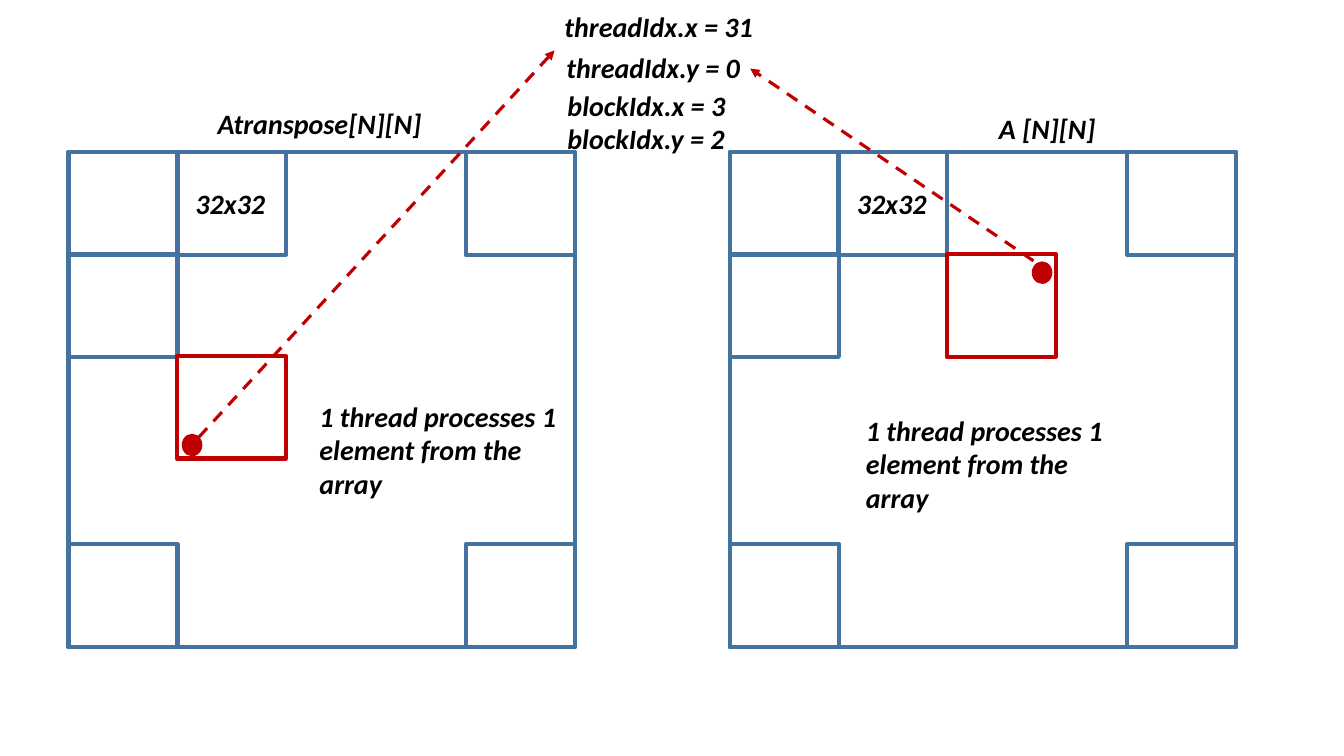
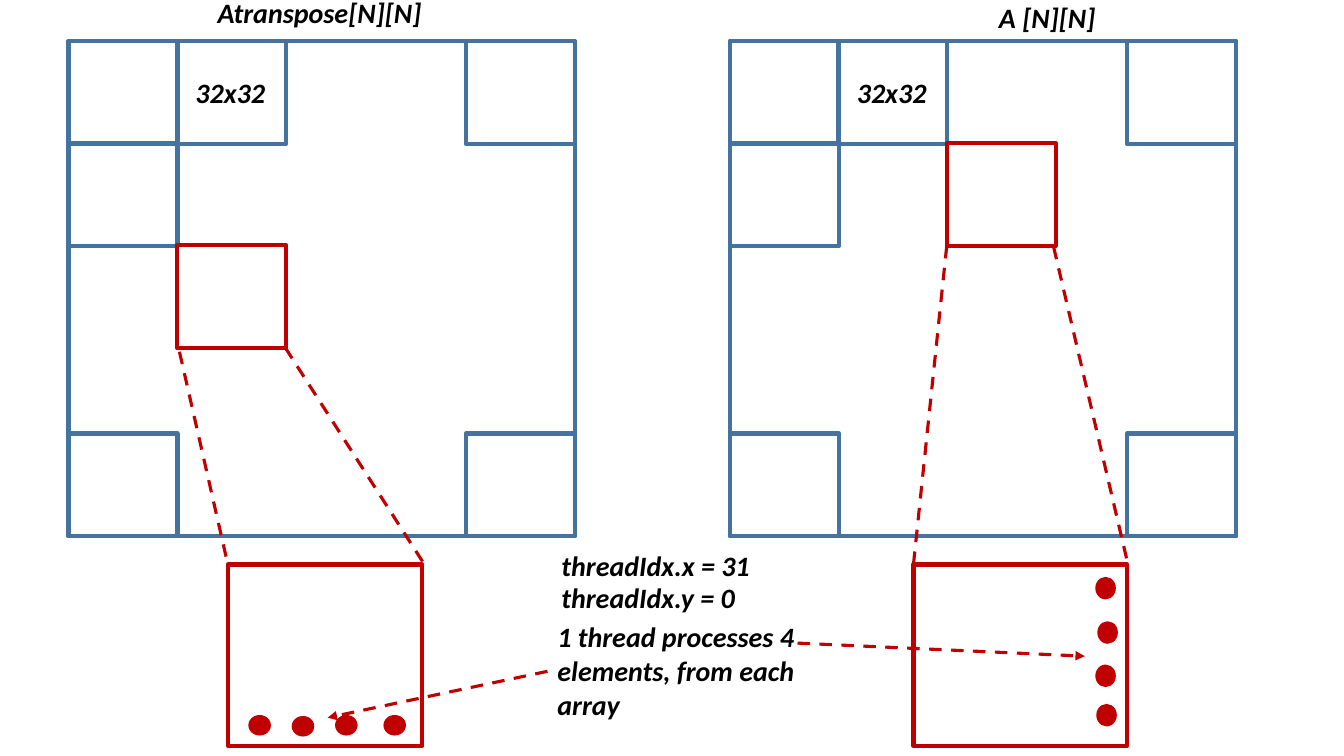
from lxml import etree
from pptx import Presentation
from pptx.dml.color import RGBColor
from pptx.enum.dml import MSO_LINE
from pptx.enum.shapes import MSO_CONNECTOR, MSO_SHAPE
from pptx.enum.text import MSO_AUTO_SIZE
from pptx.oxml.ns import qn
from pptx.util import Inches, Pt

RECTANGLE, OVAL = MSO_SHAPE.RECTANGLE, MSO_SHAPE.OVAL
STRAIGHT, DASH = MSO_CONNECTOR.STRAIGHT, MSO_LINE.DASH
FIT_SHAPE = MSO_AUTO_SIZE.SHAPE_TO_FIT_TEXT

COLORS = {"grid": "43739E", "accent": "C00000", "text": "000000"}
FONT, TEXT_SIZE = "Calibri", 20
LINE_HEIGHT, NOTE_HEIGHT, NOTE_WIDTH = 0.44, 1.11, 2.71

# Shared geometry of the two arrays, in inches
MATRIX_WIDTH, MATRIX_HEIGHT = 5.02, 4.91
TILE_WIDTH, TILE_HEIGHT = 1.08, 1.02
COLUMN_STEP, ROW_STEP = 1.075, 1.01
TRANSPOSE_LEFT, SOURCE_LEFT = 0.68, 7.24
DOT_WIDTH, DOT_HEIGHT = 0.19, 0.21


def color(name):
    return RGBColor.from_string(COLORS[name])


def add_frame(page, left, top, width, height, line="grid"):
    frame = page.shapes.add_shape(
        RECTANGLE, Inches(left), Inches(top), Inches(width), Inches(height))
    frame.shadow.inherit = False
    frame.fill.background()
    frame.line.color.rgb = color(line)
    frame.line.width = Pt(3)


def add_dot(page, left, top, width=DOT_WIDTH, height=DOT_HEIGHT):
    dot = page.shapes.add_shape(
        OVAL, Inches(left), Inches(top), Inches(width), Inches(height))
    dot.shadow.inherit = False
    dot.fill.solid()
    dot.fill.fore_color.rgb = color("accent")
    dot.line.color.rgb = color("accent")
    dot.line.width = Pt(1)


def add_label(page, text, left, top, width, height=LINE_HEIGHT, wrap=False):
    box = page.shapes.add_textbox(
        Inches(left), Inches(top), Inches(width), Inches(height))
    frame = box.text_frame
    frame.text = text
    frame.word_wrap = wrap
    frame.auto_size = FIT_SHAPE
    font = frame.paragraphs[0].runs[0].font
    font.name, font.size = FONT, Pt(TEXT_SIZE)
    font.bold = font.italic = True
    font.color.rgb = color("text")


def add_note(page, text, left, top):
    add_label(page, text, left, top, NOTE_WIDTH, NOTE_HEIGHT, wrap=True)


def add_dashed_line(page, start, end, arrow=False):
    line = page.shapes.add_connector(
        STRAIGHT, *(Inches(value) for value in (*start, *end)))
    line.line.color.rgb = color("accent")
    line.line.width = Pt(2.25)
    line.line.dash_style = DASH
    if arrow:
        tail = etree.SubElement(line.line._get_or_add_ln(), qn("a:tailEnd"))
        tail.set("type", "triangle")
    etree.SubElement(line._element.spPr, qn("a:effectLst"))


def add_matrix(page, left, top, marked_column, marked_row):
    """Draw an array with its visible tiles and one marked tile."""
    add_frame(page, left, top, MATRIX_WIDTH, MATRIX_HEIGHT)
    right = MATRIX_WIDTH - TILE_WIDTH
    bottom = MATRIX_HEIGHT - TILE_HEIGHT
    tiles = [(0, 0), (0, bottom), (right, 0), (right, bottom),
             (COLUMN_STEP, 0), (0, ROW_STEP)]
    for across, down in tiles:
        add_frame(page, left + across, top + down, TILE_WIDTH, TILE_HEIGHT)
    add_frame(page, left + marked_column * COLUMN_STEP,
              top + marked_row * ROW_STEP, TILE_WIDTH, TILE_HEIGHT, "accent")
    add_label(page, "32x32", left + 1.16, top + 0.29, 0.9)


def add_matrix_pair(page, top):
    add_matrix(page, SOURCE_LEFT, top, 2, 1)
    add_matrix(page, TRANSPOSE_LEFT, top, 1, 2)
    add_label(page, "Atranspose[N][N]", TRANSPOSE_LEFT + 1.38, top - 0.5, 2.24)
    add_label(page, "A [N][N]", SOURCE_LEFT + 2.57, top - 0.45, 1.17)


def build_single_element(page):
    add_matrix_pair(page, 1.51)

    # Thread and block indices
    for text, left, top, width in [("threadIdx.x = 31", 5.5, 0.05, 2.08),
                                   ("threadIdx.y = 0", 5.52, 0.45, 1.94),
                                   ("blockIdx.x = 3", 5.53, 0.83, 1.78),
                                   ("blockIdx.y = 2", 5.53, 1.16, 1.77)]:
        add_label(page, text, left, top, width)

    # Elements handled by the thread
    add_dot(page, 10.24, 2.6)
    add_dot(page, 1.81, 4.31)
    add_dashed_line(page, (10.43, 2.71), (7.44, 0.68), arrow=True)
    add_dashed_line(page, (1.97, 4.34), (5.5, 0.5), arrow=True)
    for left, top in [(8.49, 4.05), (3.07, 3.91)]:
        add_note(page, "1 thread processes 1 element from the array", left, top)


def build_four_elements(page):
    add_matrix_pair(page, 0.41)

    # Enlarged tiles with four elements each
    add_frame(page, 2.26, 5.6, 1.93, 1.8, "accent")
    add_frame(page, 9.06, 5.6, 2.12, 1.8, "accent")
    for left, top in [(10.87, 5.73), (10.89, 6.17), (10.87, 6.6), (10.88, 6.99)]:
        add_dot(page, left, top)
    for left, top in [(2.47, 7.1), (2.9, 7.11), (3.33, 7.1), (3.81, 7.1)]:
        add_dot(page, left, top, DOT_HEIGHT, DOT_WIDTH)

    # Zoom lines from the marked tiles
    for start, end in [((9.39, 2.44), (9.06, 5.6)), ((10.45, 2.45), (11.19, 5.61)),
                       ((1.78, 3.49), (2.26, 5.6)), ((2.83, 3.45), (4.21, 5.6))]:
        add_dashed_line(page, start, end)

    # Thread indices and explanation
    add_label(page, "threadIdx.x = 31", 5.47, 5.39, 2.08)
    add_label(page, "threadIdx.y = 0", 5.47, 5.71, 1.94)
    add_note(page, "1 thread processes 4 elements, from each array", 5.43, 6.1)
    add_dashed_line(page, (7.91, 6.38), (10.76, 6.51), arrow=True)
    add_dashed_line(page, (5.43, 6.66), (3.25, 7.12), arrow=True)


deck = Presentation()
deck.slide_width, deck.slide_height = Inches(13.33), Inches(7.5)
blank_layout = deck.slide_layouts[6]
for build in (build_single_element, build_four_elements):
    build(deck.slides.add_slide(blank_layout))
deck.save("out.pptx")
